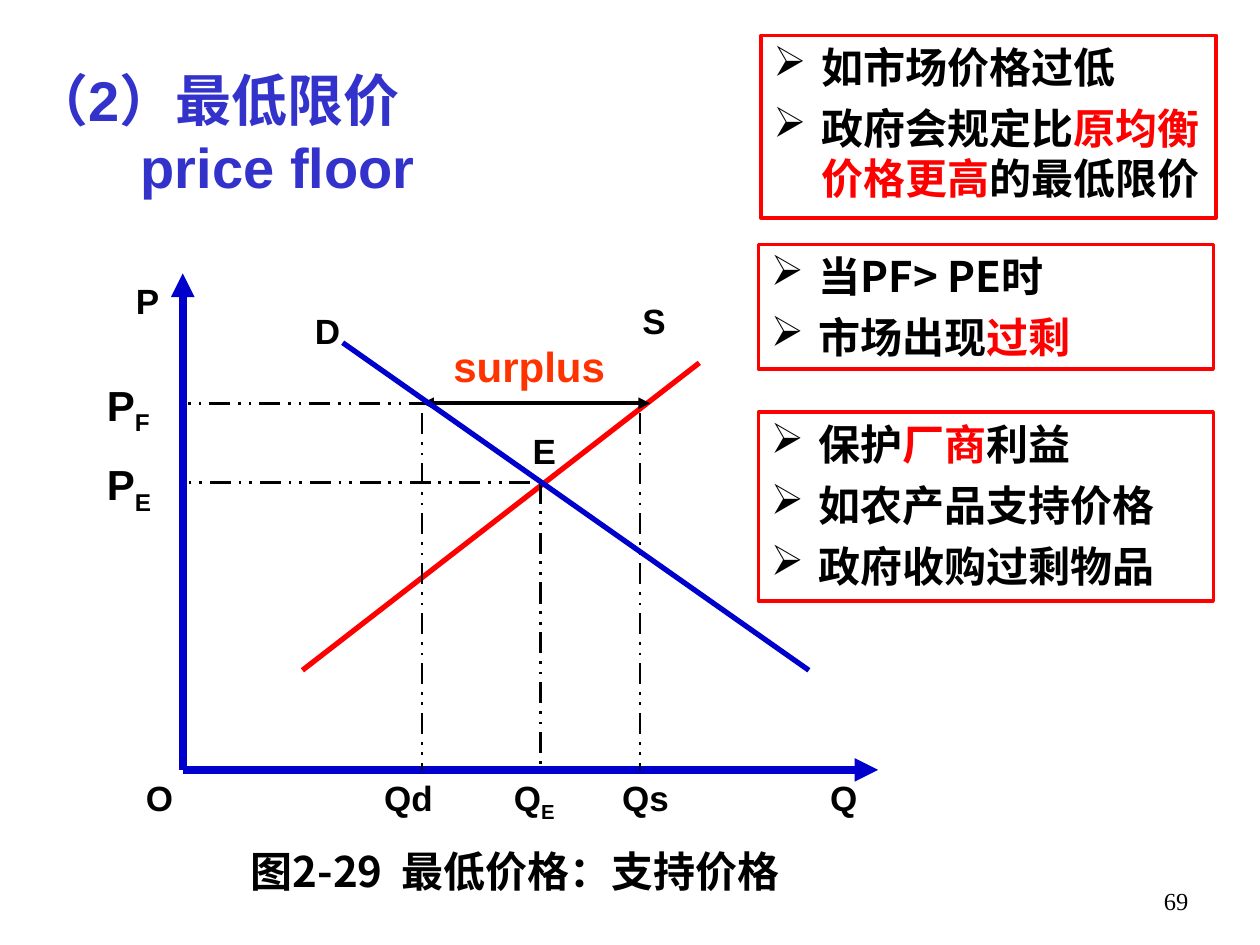
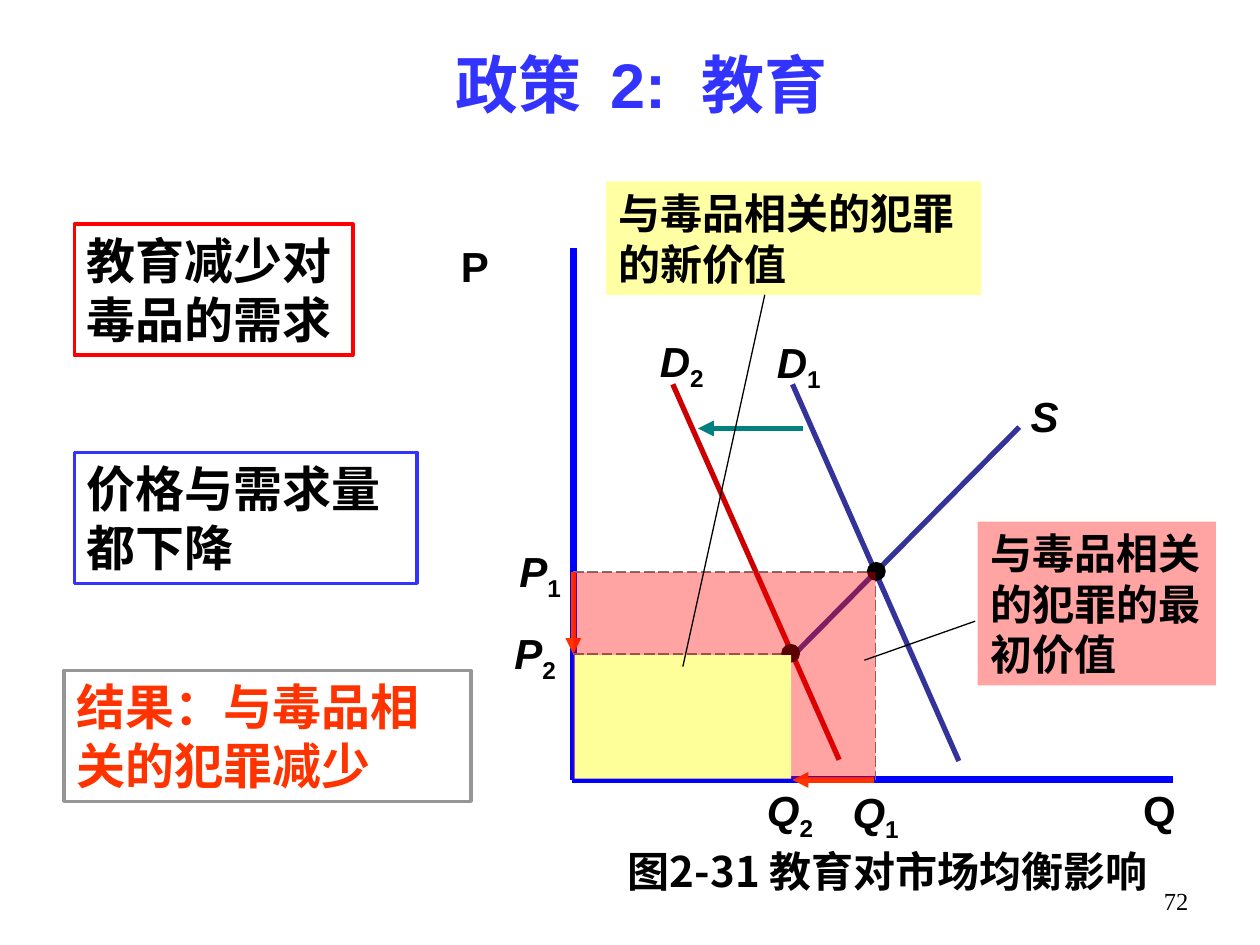
from pptx import Presentation
from pptx.dml.color import RGBColor
from pptx.enum.dml import MSO_LINE
from pptx.enum.shapes import MSO_CONNECTOR, MSO_SHAPE
from pptx.enum.text import MSO_ANCHOR, PP_ALIGN
from pptx.oxml.ns import qn
from pptx.util import Emu, Pt
from lxml import etree

SCALE = 9144  # EMU per px, 100 px to the inch
LEFT, CENTER, RIGHT = PP_ALIGN.LEFT, PP_ALIGN.CENTER, PP_ALIGN.RIGHT
TOP, MIDDLE = MSO_ANCHOR.TOP, MSO_ANCHOR.MIDDLE
RECT, OVAL = MSO_SHAPE.RECTANGLE, MSO_SHAPE.OVAL
STRAIGHT = MSO_CONNECTOR.STRAIGHT
DASH, DASH_DOT = MSO_LINE.LONG_DASH, MSO_LINE.DASH_DOT_DOT

CJK = "Noto Sans CJK SC"
BLACK, RED, ORANGE = "000000", "FF0000", "FF3300"
NAVY, BLUE, INDIGO = "0000CC", "0000FF", "333399"
TITLE_1, TITLE_2 = "3333CC", "3333FF"
GREY, FRAME_GREY, TEAL, DARK_RED = "777777", "969696", "008080", "CC0000"
YELLOW, PALE_YELLOW = "FFFF00", "FFFF99"


def px(n):
    return Emu(n * SCALE)


def rgb(code):
    return RGBColor.from_string(code)


def child(parent, tag, **attrs):
    return etree.SubElement(parent, qn(tag), attrs)


class Deck:
    base = {"name": "Arial", "size": 24, "bold": True, "color": BLACK}

    def __init__(self):
        self.prs = Presentation()
        self.prs.slide_width, self.prs.slide_height = px(1000), px(750)
        self.s = None

    def slide(self):
        self.s = self.prs.slides.add_slide(self.prs.slide_layouts[6])

    def run(self, p, text, fmt):
        r = p.add_run()
        r.text = text
        values = {**self.base, **fmt}
        r.font.color.rgb = rgb(values.pop("color"))
        sub = values.pop("sub", False)
        values["size"] = Pt(values["size"])
        for key, value in values.items():
            setattr(r.font, key, value)
        rPr = r._r.get_or_add_rPr()
        if sub:
            rPr.set("baseline", "-25000")
        child(rPr, "a:ea", typeface=CJK)

    def fill_text(self, sp, paras, align=LEFT, anchor=TOP, bullet=None, indents=(), **fmt):
        """Each paragraph is a string or a list of (text, format) runs."""
        tf = sp.text_frame
        tf.word_wrap = True
        tf.vertical_anchor = anchor
        for i, runs in enumerate(paras):
            p = tf.add_paragraph() if i else tf.paragraphs[0]
            p.alignment = align
            pPr = p._p.get_or_add_pPr()
            if i < len(indents):
                pPr.set("marL", str(px(indents[i])))
            if bullet:
                p.space_before = Pt(6 if i else 0)
                pPr.set("marL", str(px(38)))
                pPr.set("indent", str(px(-38)))
                child(child(pPr, "a:buClr"), "a:srgbClr", val=BLACK)
                child(pPr, "a:buChar", char=bullet)
            for text, extra in [(runs, {})] if isinstance(runs, str) else runs:
                self.run(p, text, {**fmt, **extra})

    def text(self, x, y, w, h, paras, **fmt):
        sp = self.s.shapes.add_textbox(px(x), px(y), px(w), px(h))
        self.fill_text(sp, paras, **fmt)

    def label(self, x, y, w, name, sub="", **fmt):
        runs = [(name, {})]
        if sub:
            runs.append((sub, {"sub": True, "italic": False}))
        self.text(x, y, w, 50, [runs], **fmt)

    def shape(self, kind, x, y, w, h, fill=None, line=None, alpha=None, paras=(), **fmt):
        sp = self.s.shapes.add_shape(kind, px(x), px(y), px(w), px(h))
        sp.shadow.inherit = False
        if fill:
            sp.fill.solid()
            sp.fill.fore_color.rgb = rgb(fill)
            if alpha:
                color = sp._element.spPr.find(qn("a:solidFill"))[0]
                child(color, "a:alpha", val=str(alpha * 1000))
        else:
            sp.fill.background()
        if line:
            sp.line.color.rgb = rgb(line)
            sp.line.width = Pt(2)
        else:
            sp.line.fill.background()
        self.fill_text(sp, paras, **fmt)

    def line(self, start, end, color, width, dash=None, head=False, tail=False):
        cx = self.s.shapes.add_connector(STRAIGHT, *map(px, start + end))
        cx.line.color.rgb = rgb(color)
        cx.line.width = Pt(width)
        if dash:
            cx.line.dash_style = dash
        ln = cx._element.spPr.find(qn("a:ln"))
        for tag, wanted in (("a:headEnd", head), ("a:tailEnd", tail)):
            if wanted:
                child(ln, tag, type="triangle")
        child(cx._element.spPr, "a:effectLst")

    def caption(self, x, w, text):
        self.text(x, 666, w, 50, [text], align=CENTER, name=CJK)

    def page_number(self, number):
        self.text(720, 698, 233, 52, [number], align=RIGHT,
                  name="Times New Roman", size=14, bold=False)


def price_floor(d):
    d.slide()
    x0, y0 = 145, 611
    qd, qe, qs = 335, 429, 508
    pf, pe = 320, 383

    # Axes, supply curve and guides
    d.line((x0, y0), (697, y0), NAVY, 4.5, tail=True)
    d.line((x0, y0), (x0, 217), NAVY, 4.5, tail=True)
    d.line((240, 532), (555, 288), RED, 3)
    for start, end in [((qd, 328), (qd, y0)), ((500, pf), (x0, pf)),
                       ((421, pe), (x0, pe)), ((qs, 328), (qs, y0)),
                       ((qe, pe), (qe, y0))]:
        d.line(start, end, BLACK, 1.5, DASH_DOT)

    # Surplus and demand curve
    d.line((qd, pf), (516, pf), BLACK, 2.25, head=True, tail=True)
    d.line((272, 272), (642, 532), NAVY, 3)
    d.label(350, 265, 157, "surplus", color=ORANGE)

    # Labels
    for x, y, name, sub in [(106, y0, "O", ""), (98, 217, "P", ""), (649, y0, "Q", ""),
                            (295, y0, "Qd", ""), (398, y0, "Q", "E"), (484, y0, "Qs", ""),
                            (240, 241, "D", ""), (500, 233, "S", ""), (413, 336, "E", "")]:
        d.label(x, y, 63, name, sub, size=20)
    for y, sub in [(296, "F"), (359, "E")]:
        d.label(75, y, 63, "P", sub)
    d.caption(110, 598, "图2-29  最低价格：支持价格")

    # Title and notes
    d.text(16, 47, 360, 117, ["（2）最低限价", "price floor"],
           size=32, color=TITLE_1, indents=(0, 86))
    red = {"color": RED}
    notes = [
        (604, 28, 145, ["如市场价格过低",
                        [("政府会规定比", {}), ("原均衡价格更高", red), ("的最低限价", {})]]),
        (602, 194, 99, ["当PF> PE时", [("市场出现", {}), ("过剩", red)]]),
        (602, 327, 150, [[("保护", {}), ("厂商", red), ("利益", {})],
                         "如农产品支持价格", "政府收购过剩物品"]),
    ]
    for x, y, h, paras in notes:
        d.shape(RECT, x, y, 361, h, line=RED, paras=paras, bullet="➢", name=CJK)
    d.page_number("69")


def education(d):
    d.slide()
    x0, y0 = 455, 619
    q1, q2, p1, p2 = 695, 627, 454, 519
    d.text(59, 31, 900, 71, ["政策  2:  教育"], align=CENTER, anchor=MIDDLE,
           size=36, color=TITLE_2)

    # Axes
    d.line((x0, 197), (x0, y0), BLUE, 4)
    d.line((x0 - 1, y0), (931, y0), BLUE, 4)
    d.label(303, 186, 148, "P", align=CENTER)
    d.label(781, 618, 162, "Q", align=RIGHT)

    # Curves
    d.line((629, 305), (761, 604), INDIGO, 3)
    d.line((601, 549), (809, 339), INDIGO, 3)
    d.line((534, 305), (666, 603), DARK_RED, 3)
    for x, y, w, name, sub in [(598, 262, 72, "D", "1"), (505, 261, 72, "D", "2"),
                               (798, 305, 62, "S", ""),
                               (665, y0, 60, "Q", "1"), (595, 618, 64, "Q", "2")]:
        d.label(x, y, w, name, sub, align=CENTER, italic=True)

    # Equilibrium points
    for x, y, label_y, right, sub in [(q1, p1, 428, 455, "1"), (q2, p2, 493, 451, "2")]:
        d.label(right - 67, label_y, 67, "P", sub, align=RIGHT, italic=True)
        d.line((x0, y), (x, y), GREY, 0.75, DASH)
        d.line((x, y), (x, y0), GREY, 0.75, DASH)
        d.shape(OVAL, x - 7, y - 8, 15, 15, fill=BLACK)

    # Shift arrows
    d.line((637, 340), (554, 340), TEAL, 3, tail=True)
    d.line((694, y0), (629, y0), ORANGE, 3, tail=True)
    d.line((x0, p1), (x0, p2), ORANGE, 3, tail=True)

    # Conclusions
    for x, y, w, frame, color, text in [
            (59, 178, 221, RED, BLACK, "教育减少对毒品的需求"),
            (59, 359, 272, TITLE_2, BLACK, "价格与需求量都下降"),
            (51, 532, 323, FRAME_GREY, ORANGE, "结果：与毒品相关的犯罪减少")]:
        d.shape(RECT, x, y, w, 104, line=frame, paras=[text], size=28, color=color)

    # Crime values with their callouts
    d.shape(RECT, x0, p1, q1 - x0, 164, fill=RED, alpha=36)
    d.shape(RECT, 776, 414, 189, 130, fill=RED, alpha=36,
            paras=["与毒品相关的犯罪的最初价值"])
    d.line((686, 524), (774, 493), BLACK, 0.75)
    d.shape(RECT, 456, 520, 172, 98, fill=PALE_YELLOW)
    d.shape(RECT, 481, 144, 298, 90, fill=YELLOW, alpha=36,
            paras=["与毒品相关的犯罪的新价值"])
    d.line((607, 234), (542, 529), BLACK, 0.75)

    d.caption(472, 465, "图2-31 教育对市场均衡影响")
    d.page_number("72")


def main():
    d = Deck()
    price_floor(d)
    education(d)
    d.prs.save("out.pptx")


if __name__ == "__main__":
    main()
